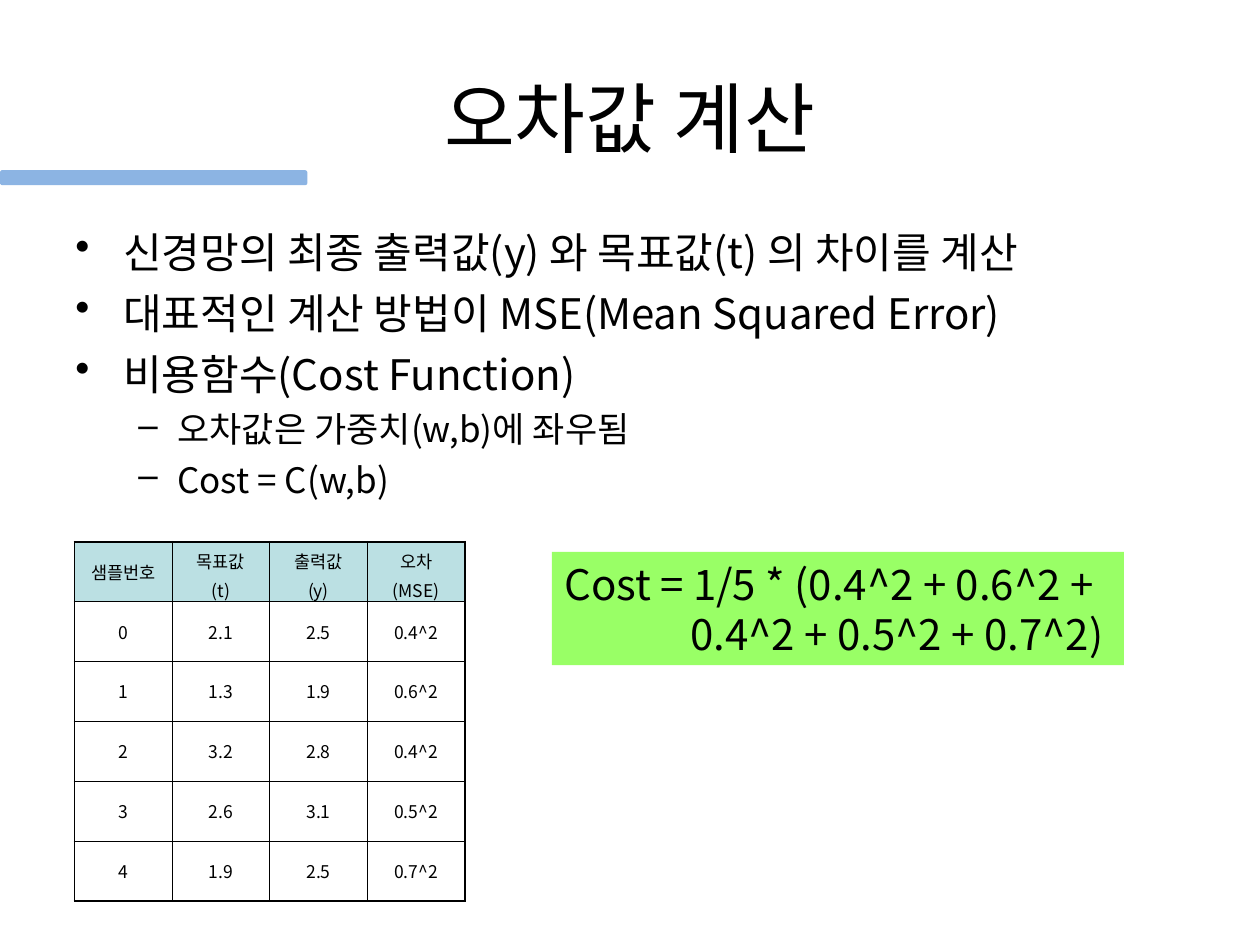
from dataclasses import dataclass
from itertools import product
from typing import NamedTuple

from lxml import etree
from pptx import Presentation
from pptx import util as u
from pptx.dml.color import RGBColor
from pptx.enum import shapes, text
from pptx.oxml.ns import qn


@dataclass(frozen=True)
class Theme:
    font: str = "Noto Sans CJK KR"
    ink: str = "000000"
    accent: str = "8CB4E3"
    header: str = "BBE0E3"
    formula: str = "99FF66"
    title: int = 44
    body: int = 24
    sub: int = 20
    cell: int = 10
    thick: float = 1.08
    thin: float = 0.45


class Box(NamedTuple):
    col: float
    row: float
    cols: float
    rows: float


class Bullet(NamedTuple):
    mark: str
    size: int
    level: int
    left: float
    hang: float
    before: float


THEME = Theme()
SLIDE_W, SLIDE_H = u.Inches(10), u.Inches(7.5)
GRID_COLS, GRID_ROWS = 100, 75

MAIN = Bullet("•", THEME.body, 0, 0.38, 0.38, 6)
SUB = Bullet("–", THEME.sub, 1, 0.81, 0.31, 5)

POINTS = [
    (MAIN, "신경망의 최종 출력값(y) 와 목표값(t) 의 차이를 계산"),
    (MAIN, "대표적인 계산 방법이 MSE(Mean Squared Error)"),
    (MAIN, "비용함수(Cost Function)"),
    (SUB, "오차값은 가중치(w,b)에 좌우됨"),
    (SUB, "Cost = C(w,b)"),
]
SAMPLES = [
    ("샘플번호", "목표값\n(t)", "출력값\n(y)", "오차\n(MSE)"),
    ("0", "2.1", "2.5", "0.4^2"),
    ("1", "1.3", "1.9", "0.6^2"),
    ("2", "3.2", "2.8", "0.4^2"),
    ("3", "2.6", "3.1", "0.5^2"),
    ("4", "1.9", "2.5", "0.7^2"),
]
FORMULA = ["Cost = 1/5 * (0.4^2 + 0.6^2 +", "\t0.4^2 + 0.5^2 + 0.7^2)"]


def place(box: Box) -> tuple[int, int, int, int]:
    w, h = SLIDE_W / GRID_COLS, SLIDE_H / GRID_ROWS
    return (round(box.col * w), round(box.row * h),
            round(box.cols * w), round(box.rows * h))


def add_child(parent, tag: str, **attrs):
    return etree.SubElement(parent, qn(tag), {k: str(v) for k, v in attrs.items()})


def write(tf, content: str, *, size: int, align=text.PP_ALIGN.LEFT,
          before: float = 0, bullet: Bullet | None = None,
          tab: float | None = None) -> None:
    first = not tf.paragraphs[0].runs
    p = tf.paragraphs[0] if first else tf.add_paragraph()
    pPr = p._p.get_or_add_pPr()
    if bullet:
        pPr.set("marL", str(u.Inches(bullet.left)))
        pPr.set("indent", str(-u.Inches(bullet.hang)))
        add_child(add_child(pPr, "a:buClr"), "a:srgbClr", val=THEME.ink)
        add_child(pPr, "a:buChar", char=bullet.mark)
        p.level = bullet.level
    if tab is not None:
        add_child(add_child(pPr, "a:tabLst"), "a:tab", pos=u.Inches(tab), algn="l")
    p.alignment = align
    p.space_before = u.Pt(0 if first else before)
    r = p.add_run()
    r.text = content
    r.font.size = u.Pt(size)
    r.font.name = THEME.font
    r.font.color.rgb = RGBColor.from_string(THEME.ink)
    add_child(r._r.get_or_add_rPr(), "a:ea", typeface=THEME.font)


def add_text(s, box: Box, anchor=text.MSO_ANCHOR.TOP):
    tf = s.shapes.add_textbox(*place(box)).text_frame
    tf.word_wrap = True
    tf.vertical_anchor = anchor
    return tf


def add_block(s, kind, box: Box, color: str):
    sp = s.shapes.add_shape(kind, *place(box))
    sp.shadow.inherit = False
    sp.fill.solid()
    sp.fill.fore_color.rgb = RGBColor.from_string(color)
    sp.line.fill.background()
    return sp


def set_borders(cell, **widths: float) -> None:
    tcPr = cell._tc.get_or_add_tcPr()
    for side, width in widths.items():
        ln = add_child(tcPr, f"a:ln{side}", w=u.Pt(width))
        add_child(add_child(ln, "a:solidFill"), "a:srgbClr", val=THEME.ink)


def add_samples(s, box: Box, rows: list[tuple[str, ...]]) -> None:
    n_rows, n_cols = len(rows), len(rows[0])
    table = s.shapes.add_table(n_rows, n_cols, *place(box)).table
    table.first_row = table.horz_banding = False

    def edge(outer: bool) -> float:
        return THEME.thick if outer else THEME.thin

    for i, j in product(range(n_rows), range(n_cols)):
        cell = table.cell(i, j)
        set_borders(cell, L=edge(j == 0), R=edge(j == n_cols - 1),
                    T=edge(i == 0), B=edge(i == n_rows - 1))
        if i == 0:
            cell.fill.solid()
            cell.fill.fore_color.rgb = RGBColor.from_string(THEME.header)
        else:
            cell.fill.background()
        cell.vertical_anchor = text.MSO_ANCHOR.MIDDLE
        for line in rows[i][j].split("\n"):
            write(cell.text_frame, line, size=THEME.cell,
                  align=text.PP_ALIGN.CENTER, before=2.5)


def main() -> None:
    prs = Presentation()
    prs.slide_width, prs.slide_height = SLIDE_W, SLIDE_H
    s = prs.slides.add_slide(prs.slide_layouts[6])

    title = add_text(s, Box(5, 3, 90, 12.5), text.MSO_ANCHOR.MIDDLE)
    write(title, "오차값 계산", size=THEME.title, align=text.PP_ALIGN.CENTER)

    body = add_text(s, Box(5, 17.5, 90, 49.5))
    for bullet, line in POINTS:
        write(body, line, size=bullet.size, before=bullet.before, bullet=bullet)

    add_block(s, shapes.MSO_SHAPE.ROUNDED_RECTANGLE, Box(0, 13.5, 24.4, 1.2), THEME.accent)
    add_samples(s, Box(5.9, 43, 31, 28.5), SAMPLES)

    formula = add_block(s, shapes.MSO_SHAPE.RECTANGLE, Box(43.8, 43.8, 45.4, 9), THEME.formula)
    tf = formula.text_frame
    tf.word_wrap = False
    tf.auto_size = text.MSO_AUTO_SIZE.SHAPE_TO_FIT_TEXT
    tf.vertical_anchor = text.MSO_ANCHOR.TOP
    for line in FORMULA:
        write(tf, line, size=THEME.body, tab=1)

    prs.save("out.pptx")


if __name__ == "__main__":
    main()
